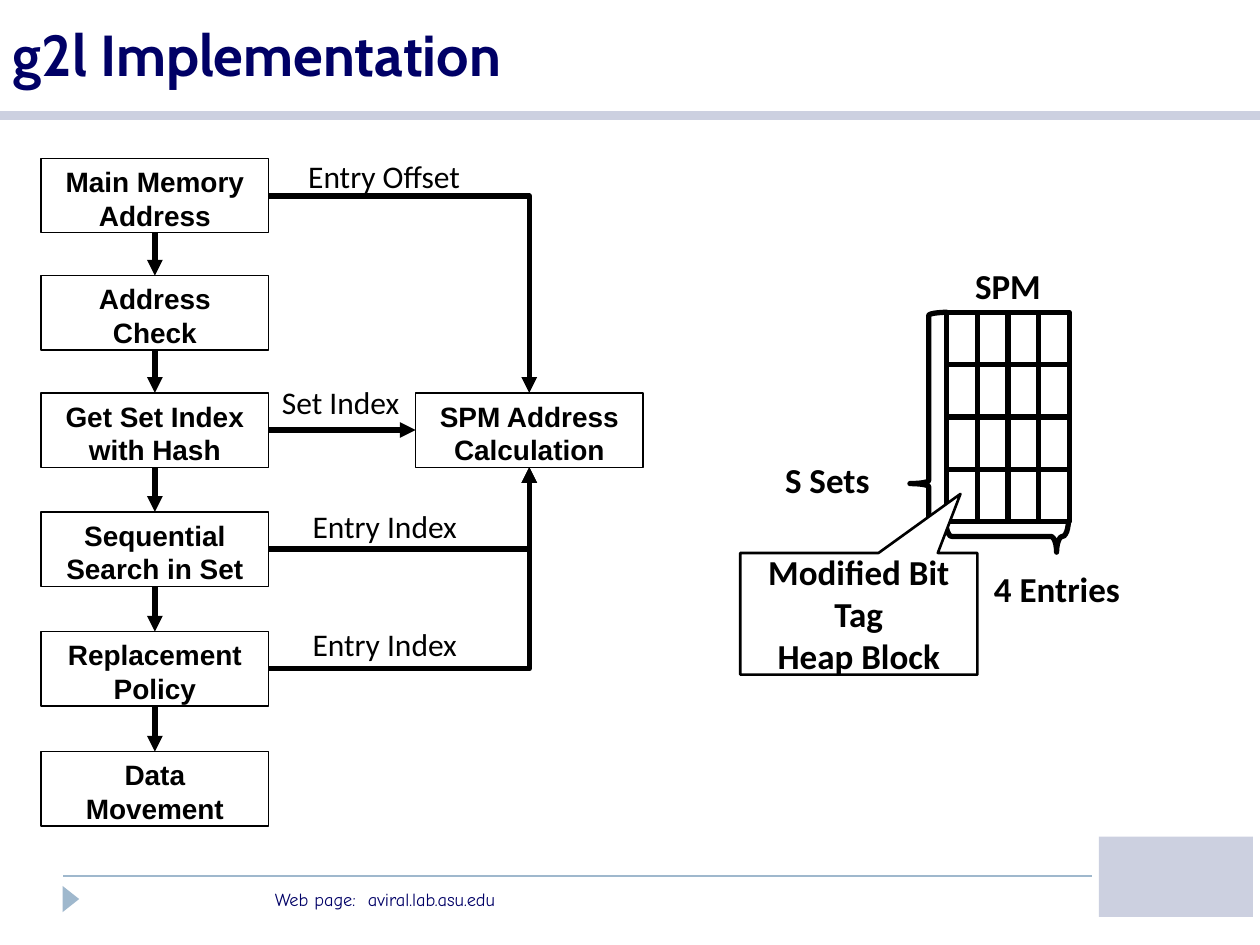
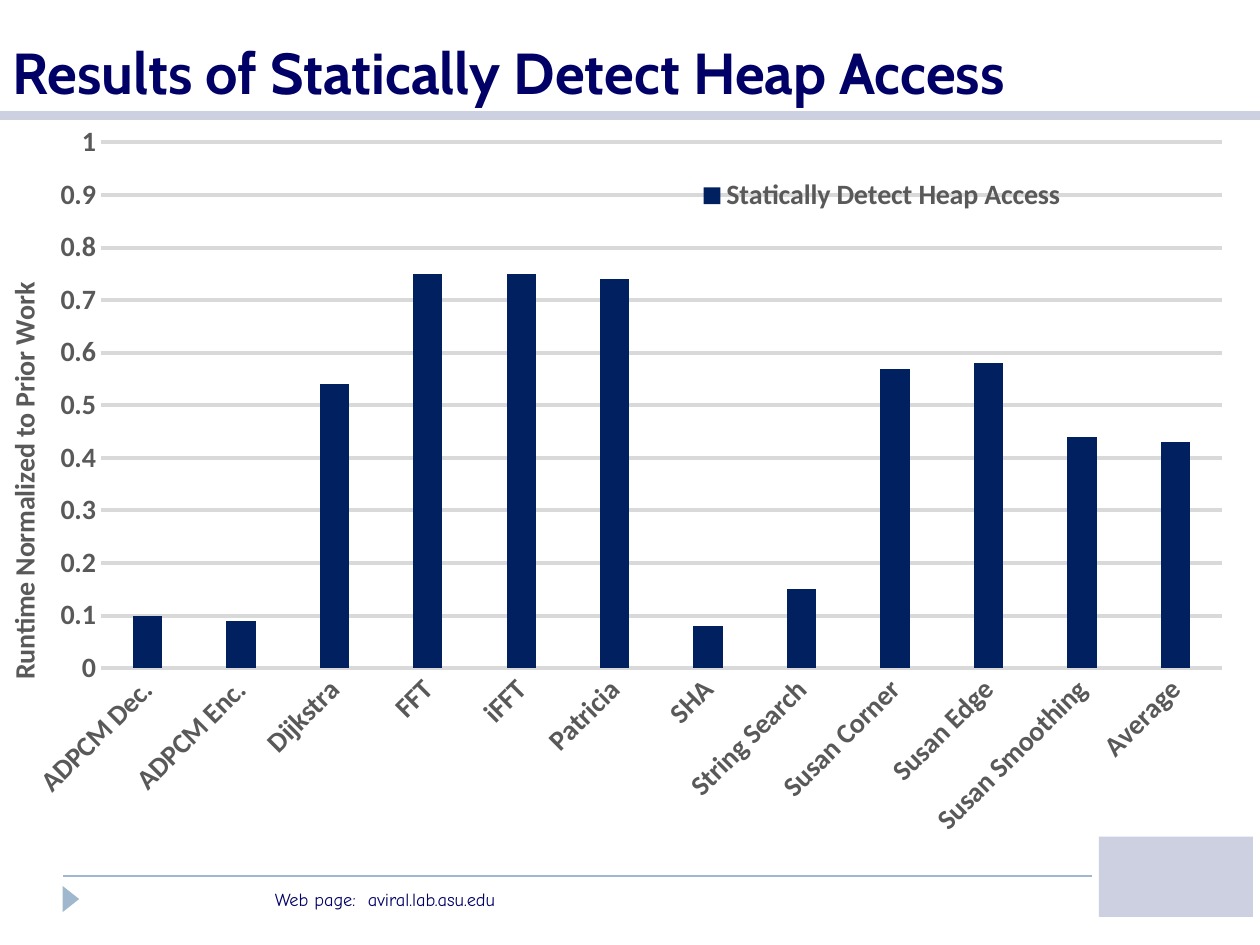
from lxml import etree
from pptx import Presentation
from pptx.chart.data import CategoryChartData
from pptx.dml.color import RGBColor
from pptx.enum.chart import XL_CHART_TYPE, XL_LEGEND_POSITION, XL_TICK_MARK
from pptx.enum.shapes import MSO_CONNECTOR, MSO_SHAPE
from pptx.enum.text import MSO_ANCHOR, MSO_AUTO_SIZE, PP_ALIGN
from pptx.oxml.ns import qn
from pptx.util import Pt

LEFT, CENTER = PP_ALIGN.LEFT, PP_ALIGN.CENTER
TOP, MIDDLE, BOTTOM = MSO_ANCHOR.TOP, MSO_ANCHOR.MIDDLE, MSO_ANCHOR.BOTTOM
NO_FIT = MSO_AUTO_SIZE.NONE
STRAIGHT, ELBOW = MSO_CONNECTOR.STRAIGHT, MSO_CONNECTOR.ELBOW
RECT, TRIANGLE = MSO_SHAPE.RECTANGLE, MSO_SHAPE.ISOSCELES_TRIANGLE
BRACE, CALLOUT = MSO_SHAPE.LEFT_BRACE, MSO_SHAPE.RECTANGULAR_CALLOUT
NO_TICK = XL_TICK_MARK.NONE
COLUMNS, LEGEND_BOTTOM = XL_CHART_TYPE.COLUMN_CLUSTERED, XL_LEGEND_POSITION.BOTTOM

COLORS = {
    "ink": "000000",
    "paper": "FFFFFF",
    "title": "000066",
    "footer": "9FB8CD",
    "band": "CCD0E0",
    "bar": "002060",
    "chart_text": "595959",
    "grid": "D9D9D9",
}
FONTS = {
    "title": dict(name="Cabin", size=Pt(33), bold=True),
    "footer": dict(name="Comic Neue", size=Pt(10.5), bold=False),
    "step": dict(name="Arial", size=Pt(16), bold=True),
    "flow": dict(name="Calibri", size=Pt(18), bold=False),
    "memory": dict(name="Calibri", size=Pt(20), bold=True),
    "chart": dict(name="Calibri", size=Pt(16), bold=True),
}


def rgb(color):
    return RGBColor.from_string(COLORS[color])


def apply(target, values):
    for name, value in values.items():
        setattr(target, name, value)


def style_font(font, style, color="ink"):
    apply(font, FONTS[style])
    font.color.rgb = rgb(color)


def place_part(parent, index, fractions, inner=False):
    for old in parent.findall(qn("c:layout")):
        parent.remove(old)
    layout = etree.Element(qn("c:layout"))
    parent.insert(index, layout)
    manual = etree.SubElement(layout, qn("c:manualLayout"))
    settings = {"layoutTarget": "inner"} if inner else {}
    settings |= {"xMode": "edge", "yMode": "edge"}
    settings |= dict(zip("xywh", fractions))
    for tag, value in settings.items():
        etree.SubElement(manual, qn(f"c:{tag}"), val=str(value))


class Deck:
    def __init__(self):
        self.presentation = Presentation()
        apply(self.presentation, dict(slide_width=Pt(720), slide_height=Pt(540)))
        self.slide = None

    def new_slide(self, title, title_height):
        layout = self.presentation.slide_layouts[5]
        self.slide = self.presentation.slides.add_slide(layout)
        self.line((36, 500.4), (624, 500.4), "footer", 1)
        self.line((0, 66.2), (720, 66.2), "band", 5)
        self.shape(TRIANGLE, (33, 509, 15, 9.5), fill="footer", rotation=90)
        self.label("Web page:  aviral.lab.asu.edu", (150, 504, 270, 20),
                   "footer", color="title")
        self.shape(RECT, (628, 478, 88, 46), fill="band")
        heading = self.slide.shapes.title
        apply(heading, dict(left=0, top=0, width=Pt(720), height=Pt(title_height)))
        self.fill_text(heading, [title], "title", "title", LEFT, BOTTOM)

    def fill_text(self, shape, lines, style, color="ink", align=CENTER, anchor=TOP):
        frame = shape.text_frame
        apply(frame, dict(word_wrap=True, auto_size=NO_FIT, vertical_anchor=anchor))
        for index, line in enumerate(lines):
            paragraph = frame.add_paragraph() if index else frame.paragraphs[0]
            paragraph.alignment = align
            run = paragraph.add_run()
            run.text = line
            style_font(run.font, style, color)

    def label(self, text, box, style, color="ink", align=LEFT):
        holder = self.slide.shapes.add_textbox(*map(Pt, box))
        self.fill_text(holder, [text], style, color, align)

    def shape(self, kind, box, fill=None, weight=0, rotation=0, adjustments=()):
        shape = self.slide.shapes.add_shape(kind, *map(Pt, box))
        shape.shadow.inherit = False
        shape.rotation = rotation
        for index, value in enumerate(adjustments):
            shape.adjustments[index] = value
        if fill:
            shape.fill.solid()
            shape.fill.fore_color.rgb = rgb(fill)
        else:
            shape.fill.background()
        if weight:
            shape.line.color.rgb = rgb("ink")
            shape.line.width = Pt(weight)
        else:
            shape.line.fill.background()
        return shape

    def step(self, lines, left, top):
        box = self.shape(RECT, (left, top, 130, 42.5), "paper", 0.75)
        self.fill_text(box, lines, "step")
        return box

    def line(self, start, end, color="ink", weight=3, arrow=False, bent=False):
        kind = ELBOW if bent else STRAIGHT
        line = self.slide.shapes.add_connector(kind, *map(Pt, start + end))
        line.line.color.rgb = rgb(color)
        line.line.width = Pt(weight)
        properties = line._element.spPr
        if bent:
            properties.find(qn("a:prstGeom")).set("prst", "bentConnector2")
        if arrow:
            outline = properties.find(qn("a:ln"))
            etree.SubElement(outline, qn("a:tailEnd"), type="triangle")
        etree.SubElement(properties, qn("a:effectLst"))
        return line

    def link(self, source, source_site, target, target_site):
        arrow = self.line((0, 0), (1, 1), arrow=True)
        arrow.begin_connect(source, source_site)
        arrow.end_connect(target, target_site)

    def column_chart(self, box, series_name, values, axis_title):
        data = CategoryChartData()
        data.categories = list(values.keys())
        data.add_series(series_name, list(values.values()))
        chart = self.slide.shapes.add_chart(COLUMNS, *map(Pt, box), data).chart
        apply(chart, dict(has_title=False, has_legend=True))
        style_font(chart.font, "chart", "chart_text")

        plot = chart.plots[0]
        apply(plot, dict(gap_width=219, overlap=-27, vary_by_categories=False))
        bars = plot.series[0].format.fill
        bars.solid()
        bars.fore_color.rgb = rgb("bar")

        names, scale = chart.category_axis, chart.value_axis
        for axis in (names, scale):
            apply(axis, dict(major_tick_mark=NO_TICK, minor_tick_mark=NO_TICK))
            style_font(axis.tick_labels.font, "chart", "chart_text")
        names._element.find(qn("c:txPr")).find(qn("a:bodyPr")).set("rot", "-2700000")
        apply(scale, dict(minimum_scale=0, maximum_scale=1, major_unit=0.1,
                          has_major_gridlines=True))
        scale.format.line.fill.background()
        for rule, weight in ((names.format.line, 0.75),
                             (scale.major_gridlines.format.line, 2.25)):
            rule.color.rgb = rgb("grid")
            rule.width = Pt(weight)

        caption = scale.axis_title.text_frame
        caption.text = axis_title
        style_font(caption.paragraphs[0].runs[0].font, "chart", "chart_text")
        caption._txBody.find(qn("a:bodyPr")).set("rot", "-5400000")

        legend = chart.legend
        apply(legend, dict(position=LEGEND_BOTTOM, include_in_layout=False))
        style_font(legend.font, "chart", "chart_text")
        place_part(legend._element, 1, (0.55, 0.08, 0.3, 0.06))
        plot_area = chart._chartSpace.chart.plotArea
        place_part(plot_area, 0, (0.08, 0.04, 0.89, 0.69), inner=True)


def draw_flow(deck):
    left = 23.5
    steps = [
        (["Main Memory Address"], 90.5),
        (["Address Check"], 157.5),
        (["Get Set Index with Hash"], 224.5),
        (["Sequential", "Search in Set"], 292.5),
        (["Replacement Policy"], 361),
        (["Data Movement"], 429.5),
    ]
    boxes = [deck.step(lines, left, top) for lines, top in steps]
    for upper, lower in zip(boxes, boxes[1:]):
        deck.link(upper, 2, lower, 0)

    calculation = deck.step(["SPM Address Calculation"], 237.5, 224.5)
    deck.link(boxes[2], 3, calculation, 1)
    for start, end in ((112, 224.5), (313.75, 267), (382.25, 267)):
        deck.line((left + 130, start), (302.5, end), arrow=True, bent=True)

    for text, x, y, width in (
        ("Entry Offset", 169, 86, 107),
        ("Set Index", 154, 215.5, 84),
        ("Entry Index", 171.5, 286, 107),
        ("Entry Index", 171.5, 353.5, 107),
    ):
        deck.label(text, (x, y, width, 29), "flow")


def draw_memory(deck):
    left, top, width, height, count = 541, 178.5, 70, 119.5, 4
    deck.shape(RECT, (left, top, width, height), "paper", 3)
    for index in range(1, count):
        x, y = left + width * index / count, top + height * index / count
        deck.line((left, y), (left + width, y))
        deck.line((x, top), (x, top + height))
    deck.shape(BRACE, (520, top, 21.5, height), weight=3, adjustments=(0.083, 0.819))
    deck.shape(BRACE, (566.5, 271.5, 18, width), weight=3, rotation=270,
               adjustments=(0.243, 0.904))
    deck.label("S Sets", (441.5, 258.5, 73.5, 31.5), "memory")
    deck.label("4 Entries", (555, 320.5, 98, 31.5), "memory", align=CENTER)
    deck.label("SPM", (543.5, 147.5, 65, 31.5), "memory", align=CENTER)
    entry = deck.shape(CALLOUT, (423, 316, 135.5, 69.5), "paper", 1.5,
                       adjustments=(0.429, -0.986))
    deck.fill_text(entry, ["Modified Bit", "Tag", "Heap Block"], "memory",
                   anchor=MIDDLE)


def main():
    deck = Deck()
    deck.new_slide("g2l Implementation", 54)
    draw_flow(deck)
    draw_memory(deck)

    deck.new_slide("Results of Statically Detect Heap Access", 64)
    runtimes = {
        "ADPCM Dec.": 0.1, "ADPCM Enc.": 0.09, "Dijkstra": 0.54, "FFT": 0.75,
        "iFFT": 0.75, "Patricia": 0.74, "SHA": 0.08, "String Search": 0.15,
        "Susan Corner": 0.57, "Susan Edge": 0.58, "Susan Smoothing": 0.44,
        "Average": 0.43,
    }
    deck.column_chart((0, 64, 720, 435.5), "Statically Detect Heap Access",
                      runtimes, "Runtime Normalized to Prior Work")
    deck.presentation.save("out.pptx")


if __name__ == "__main__":
    main()
